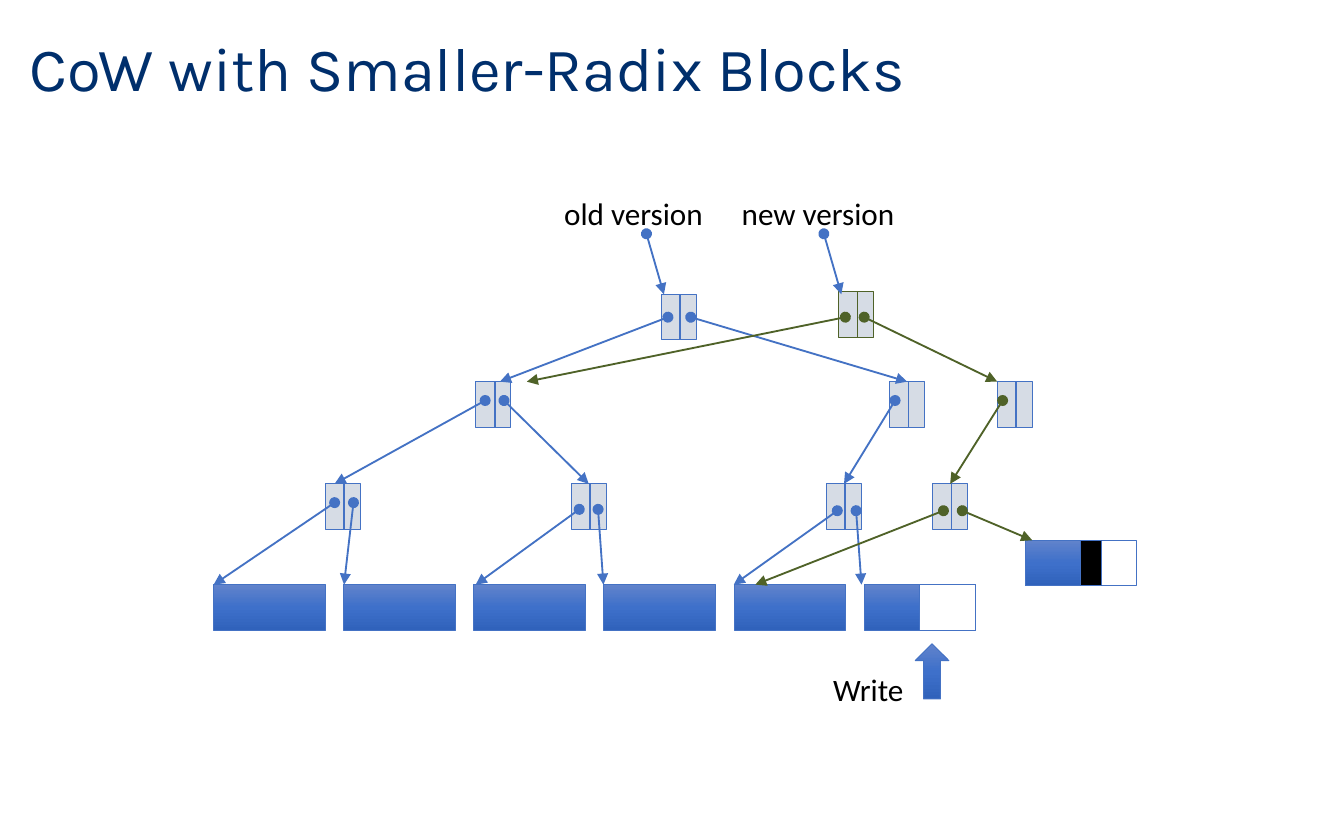
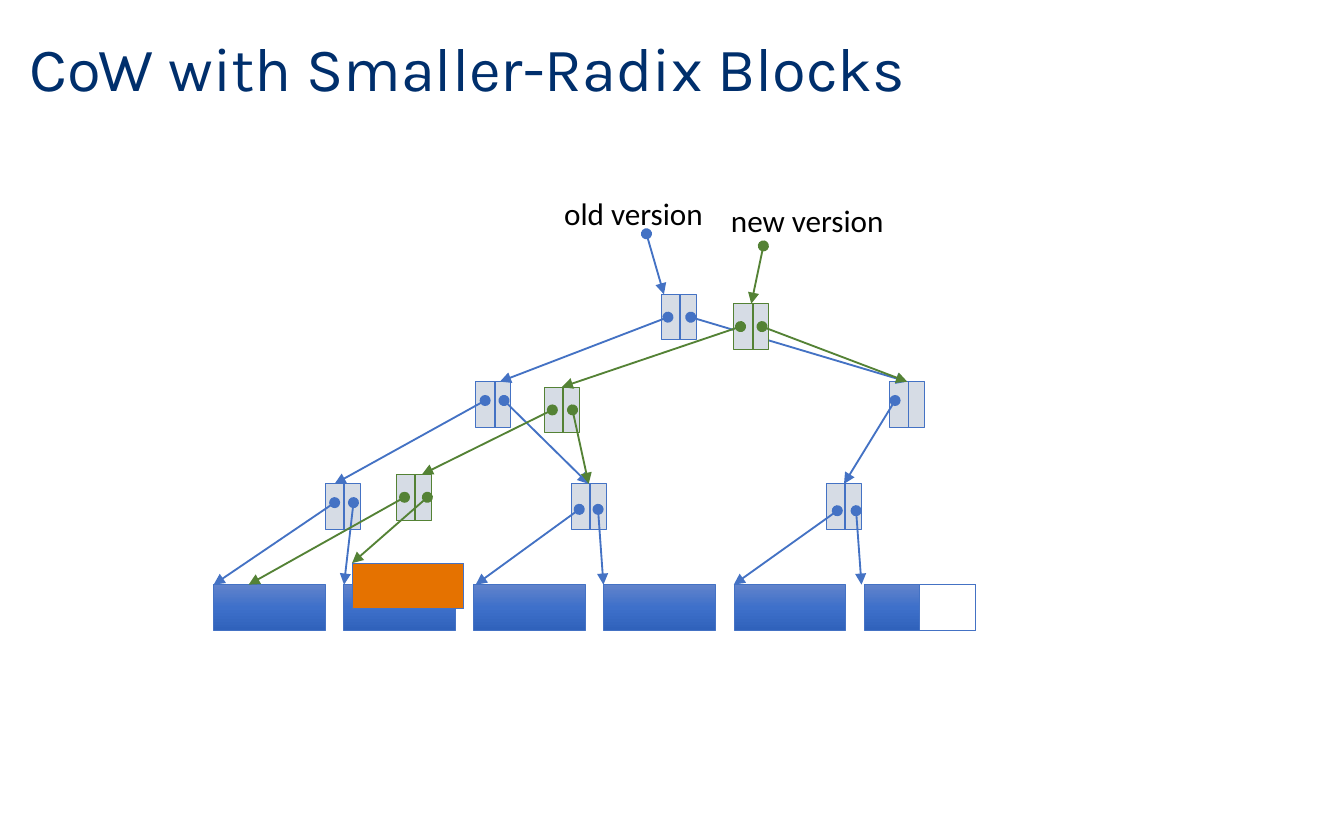
from lxml import etree
from pptx import Presentation
from pptx import util as u
from pptx.dml.color import RGBColor
from pptx.enum import shapes, text
from pptx.oxml.ns import qn

CELL = u.Inches(0.1)
COLUMNS, ROWS = 100, 62.5
COLORS = {
    "title": "002F6C",
    "label": "000000",
    "old": "4472C4",
    "olive": "4F6228",
    "green": "548235",
    "node": "D6DCE5",
    "free": "FFFFFF",
    "written": "000000",
    "copied": "E57200",
}
DATA_GRADIENT = ((0, "6183CB"), (50, "3E70CA"), (100, "3062BB"))

BLOCK_WIDTH, BLOCK_HEIGHT, BLOCK_PITCH = 8.3, 3.4, 9.68
FIRST_BLOCK, BLOCK_COUNT = 15.9, 6
NODE_WIDTH, NODE_SPLIT = 2.6, 1.4
ROOT, BRANCH, TWIG, LEAF = 21.9, 28.4, 36, 43.5

OLD_NODES = [(49.2, ROOT), (35.4, BRANCH), (66.2, BRANCH),
             (24.2, TWIG), (42.5, TWIG), (61.5, TWIG)]
OLD_POINTERS = [
    (49.7, 23.6, 37.2, BRANCH), (51.4, 23.6, 67.5, BRANCH),
    (36.1, 29.8, 24.9, TWIG), (37.5, 29.8, 43.8, TWIG),
    (66.6, 29.8, 62.8, TWIG),
    (24.9, 37.4, 15.9, LEAF), (26.3, 37.4, 25.6, LEAF),
    (43.1, 37.9, 35.4, LEAF), (44.5, 37.9, 44.9, LEAF),
    (62.3, 38, 54.6, LEAF), (63.7, 38, 64.1, LEAF),
    (48.1, 17.4, 49.4, ROOT),
]
APPEND_POINTERS = [
    (62.9, 23.6, 39.2, BRANCH), (64.3, 23.6, 74.2, BRANCH),
    (74.6, 29.8, 70.7, TWIG),
    (70.2, 38, 56.2, LEAF), (71.6, 38, 76.8, 40.2),
]
UPDATE_NODES = [(54.6, 22.6), (40.5, 28.8), (29.5, 35.3)]
UPDATE_POINTERS = [
    (56.8, 18.3, 55.9, 22.6),
    (55.1, 24.3, 41.8, 28.8), (56.7, 24.3, 67.5, BRANCH),
    (41.1, 30.5, 31.4, 35.3), (42.6, 30.5, 43.8, TWIG),
    (30.1, 37, 18.5, LEAF), (31.8, 37, 26.2, 41.9),
]


def cells(*values):
    return [round(value * CELL) for value in values]


def rgb(name):
    return RGBColor.from_string(COLORS[name])


def add_outlined(canvas, left, top, width, height, line="old",
                 kind=shapes.MSO_SHAPE.RECTANGLE):
    shape = canvas.shapes.add_shape(kind, *cells(left, top, width, height))
    shape.shadow.inherit = False
    shape.line.color.rgb = rgb(line)
    shape.line.width = u.Pt(0.5)
    return shape


def add_plain(canvas, left, top, width, height, fill, line="old"):
    shape = add_outlined(canvas, left, top, width, height, line)
    shape.fill.solid()
    shape.fill.fore_color.rgb = rgb(fill)


def add_shaded(canvas, left, top, width, height,
               kind=shapes.MSO_SHAPE.RECTANGLE):
    shape = add_outlined(canvas, left, top, width, height, kind=kind)
    shape.fill.gradient()
    shape.fill.gradient_angle = 270
    stops = next(shape._element.spPr.iter(qn("a:gsLst")))
    for stop in list(stops):
        stops.remove(stop)
    for percent, color in DATA_GRADIENT:
        stop = etree.SubElement(stops, qn("a:gs"), pos=str(percent * 1000))
        etree.SubElement(stop, qn("a:srgbClr"), val=color)


def add_line(canvas, x1, y1, x2, y2, color):
    line = canvas.shapes.add_connector(
        shapes.MSO_CONNECTOR.STRAIGHT, *cells(x1, y1, x2, y2))
    line.line.color.rgb = rgb(color)
    line.line.width = u.Pt(1)
    etree.SubElement(line._element.spPr, qn("a:effectLst"))
    return line


def add_pointers(page, pointers, color):
    for ends in pointers:
        stroke = add_line(page, *ends, color).line._get_or_add_ln()
        etree.SubElement(stroke, qn("a:headEnd"), type="oval")
        etree.SubElement(stroke, qn("a:tailEnd"), type="triangle")


def add_nodes(page, nodes, color):
    for left, top in nodes:
        node = page.shapes.add_group_shape()
        split = left + NODE_SPLIT
        add_plain(node, left, top, NODE_WIDTH, BLOCK_HEIGHT, "node", color)
        add_line(node, split, top, split, top + BLOCK_HEIGHT, color)


def add_half_block(page, left, top):
    half = BLOCK_WIDTH / 2
    add_shaded(page, left, top, BLOCK_WIDTH, BLOCK_HEIGHT)
    add_plain(page, left + half, top, half, BLOCK_HEIGHT, "free")


def add_text(page, words, left, top, width, height, font, size, color):
    box = page.shapes.add_textbox(*cells(left, top, width, height))
    para = box.text_frame.paragraphs[0]
    para.text = words
    para.font.name = font
    para.font.size = u.Pt(size)
    para.font.color.rgb = rgb(color)
    return box.text_frame


def add_label(page, words, left, top, width):
    frame = add_text(page, words, left, top, width, 3.8,
                     "Calibri", 16.7, "label")
    frame.word_wrap = False
    frame.auto_size = text.MSO_AUTO_SIZE.SHAPE_TO_FIT_TEXT


def add_title(page, words):
    frame = add_text(page, words, 1.2, 1, 85.2, 8.6, "Karla", 33, "title")
    frame.word_wrap = True
    frame.vertical_anchor = text.MSO_ANCHOR.MIDDLE
    frame.paragraphs[0].line_spacing = 0.9


def add_old_tree(deck):
    page = deck.slides.add_slide(deck.slide_layouts[6])
    add_title(page, "CoW with Smaller-Radix Blocks")
    lefts = [FIRST_BLOCK + i * BLOCK_PITCH for i in range(BLOCK_COUNT)]
    for left in lefts[:-1]:
        add_shaded(page, left, LEAF, BLOCK_WIDTH, BLOCK_HEIGHT)
    add_half_block(page, lefts[-1], LEAF)
    add_nodes(page, OLD_NODES, "old")
    add_label(page, "old version", 41, 14, 12.6)
    add_pointers(page, OLD_POINTERS, "old")
    return page


def add_append_slide(deck):
    page = add_old_tree(deck)
    add_shaded(page, 68.1, 47.9, 2.5, 4.1, shapes.MSO_SHAPE.UP_ARROW)
    add_label(page, "Write", 61, 49.4, 8.4)
    add_half_block(page, 76.3, 40.2)
    add_plain(page, 80.4, 40.2, 1.6, BLOCK_HEIGHT, "written")
    add_nodes(page, [(74.2, BRANCH), (69.4, TWIG)], "old")
    add_nodes(page, [(62.4, 21.7)], "olive")
    add_pointers(page, APPEND_POINTERS, "olive")
    add_label(page, "new version", 54.2, 14, 13.5)
    add_pointers(page, [(61.3, 17.4, 62.6, ROOT)], "old")


def add_update_slide(deck):
    page = add_old_tree(deck)
    add_plain(page, 26.2, 41.9, BLOCK_WIDTH, BLOCK_HEIGHT, "copied")
    add_nodes(page, UPDATE_NODES, "green")
    add_pointers(page, UPDATE_POINTERS, "green")
    add_label(page, "new version", 53.4, 14.5, 13.5)


def main():
    deck = Presentation()
    deck.slide_width, deck.slide_height = cells(COLUMNS, ROWS)
    add_append_slide(deck)
    add_update_slide(deck)
    deck.save("out.pptx")


if __name__ == "__main__":
    main()
